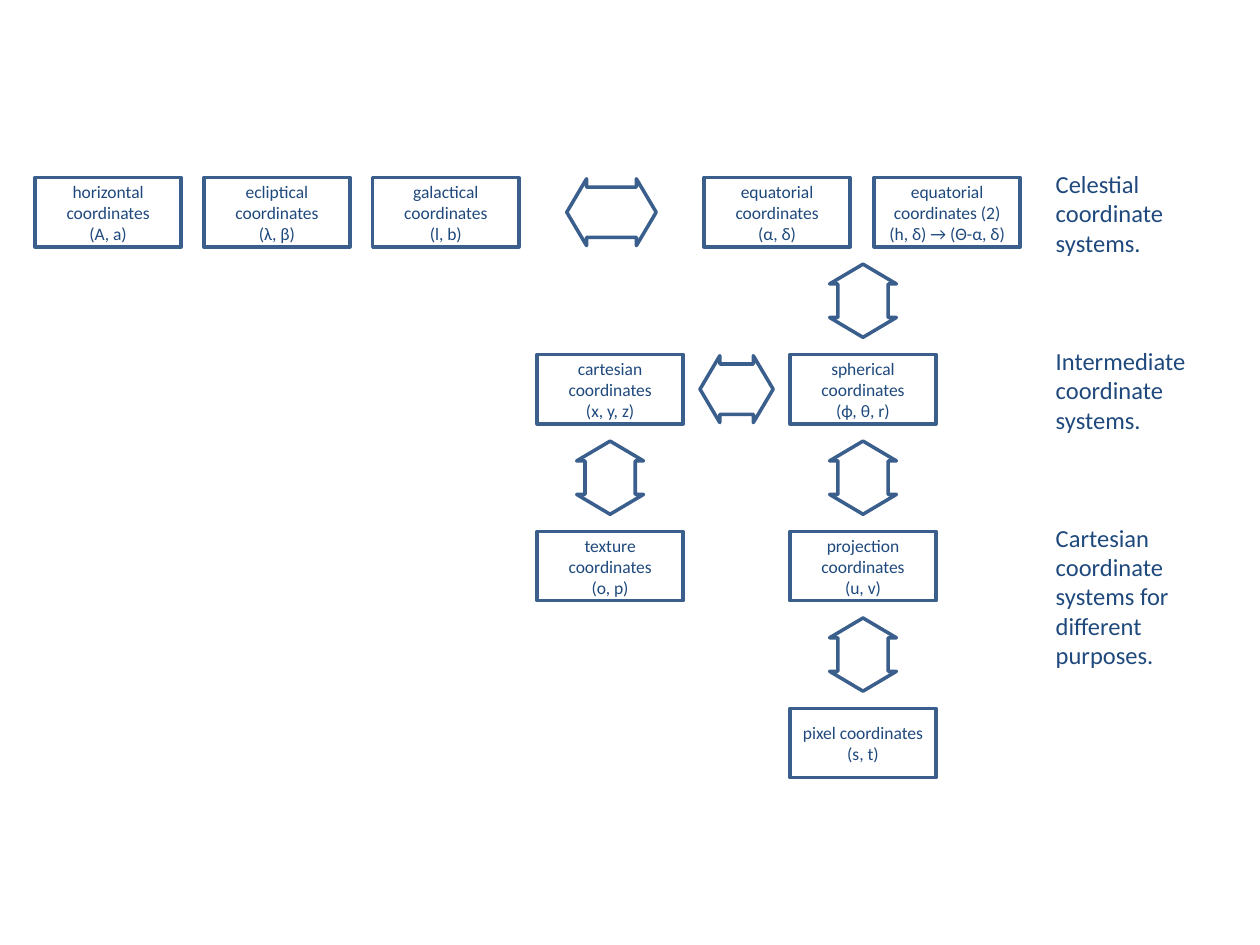
import pptx
import pptx.util
from dataclasses import dataclass
from pptx.dml.color import RGBColor
from pptx.enum.shapes import MSO_SHAPE
from pptx.enum.text import MSO_ANCHOR, MSO_AUTO_SIZE, PP_ALIGN

Pt = pptx.util.Pt


@dataclass(frozen=True)
class Theme:
    font: str = "Calibri"
    text: RGBColor = RGBColor(0x1F, 0x49, 0x7D)
    outline: RGBColor = RGBColor(0x3A, 0x5F, 0x8C)
    outline_width: float = 2
    system_size: float = 10
    level_size: float = 14


THEME = Theme()

# Grid of the diagram, in points
ROW_TOP, ROW_PITCH = 101.5, 101.1
BOX_W, BOX_H = 83.5, 39.6
ARROW_H, ARROW_SHORT, ARROW_LONG = 38.2, 41.8, 51.1
LABEL_LEFT, LABEL_W, LABEL_RISE = 596.2, 103.7, 8.6

# name: (left, row, title, symbols)
SYSTEMS = {
    "horizontal": (20, 0, "horizontal coordinates", "(A, a)"),
    "ecliptical": (116.5, 0, "ecliptical coordinates", "(λ, β)"),
    "galactical": (213, 0, "galactical coordinates", "(l, b)"),
    "equatorial": (402.3, 0, "equatorial coordinates", "(α, δ)"),
    "equatorial 2": (499.5, 0, "equatorial coordinates (2)", "(h, δ) → (Θ-α, δ)"),
    "cartesian": (306.9, 1, "cartesian coordinates", "(x, y, z)"),
    "spherical": (451.4, 1, "spherical coordinates", "(ϕ, θ, r)"),
    "texture": (306.9, 2, "texture coordinates", "(o, p)"),
    "projection": (451.4, 2, "projection coordinates", "(u, v)"),
    "pixel": (451.4, 3, "pixel coordinates", "(s, t)"),
}
SIDEWAYS = [("galactical", "equatorial", ARROW_LONG),
            ("cartesian", "spherical", ARROW_SHORT)]
DOWNWARD = ["spherical", "projection", "texture", "pixel"]  # lower end of each
LEVELS = [("Celestial coordinate systems.", 58.3),
          ("Intermediate coordinate systems.", 58.3),
          ("Cartesian coordinate systems for different purposes.", 92.2)]


def row_top(row):
    return ROW_TOP + row * ROW_PITCH


def style_text(paragraph, size):
    paragraph.font.name = THEME.font
    paragraph.font.size = Pt(size)
    paragraph.font.color.rgb = THEME.text


def add_outlined(slide, preset, left, top, width, height):
    shape = slide.shapes.add_shape(preset, Pt(left), Pt(top), Pt(width), Pt(height))
    shape.shadow.inherit = False
    shape.fill.background()
    shape.line.color.rgb = THEME.outline
    shape.line.width = Pt(THEME.outline_width)
    return shape


def add_system(slide, left, top, title, symbols):
    system = add_outlined(slide, MSO_SHAPE.RECTANGLE, left, top, BOX_W, BOX_H)
    frame = system.text_frame
    frame.word_wrap = True
    frame.vertical_anchor = MSO_ANCHOR.MIDDLE
    frame.text = f"{title}\n{symbols}"
    for paragraph in frame.paragraphs:
        paragraph.alignment = PP_ALIGN.CENTER
        style_text(paragraph, THEME.system_size)


def add_conversion(slide, center_x, center_y, length, rotation=0):
    arrow = add_outlined(slide, MSO_SHAPE.LEFT_RIGHT_ARROW, center_x - length / 2,
                         center_y - ARROW_H / 2, length, ARROW_H)
    arrow.adjustments[0] = 0.752
    arrow.adjustments[1] = 0.296
    arrow.rotation = rotation


def add_level(slide, top, height, caption):
    level = slide.shapes.add_textbox(Pt(LABEL_LEFT), Pt(top), Pt(LABEL_W), Pt(height))
    frame = level.text_frame
    frame.word_wrap = True
    frame.auto_size = MSO_AUTO_SIZE.SHAPE_TO_FIT_TEXT
    frame.text = caption
    style_text(frame.paragraphs[0], THEME.level_size)


def build_diagram(slide):
    # Coordinate systems
    for left, row, title, symbols in SYSTEMS.values():
        add_system(slide, left, row_top(row), title, symbols)

    # Conversions within a row, centred in the gap between two boxes
    for source, target, length in SIDEWAYS:
        left, row = SYSTEMS[source][:2]
        middle = (left + BOX_W + SYSTEMS[target][0]) / 2
        add_conversion(slide, middle, row_top(row) + BOX_H / 2, length)

    # Conversions between rows, centred in the gap above the lower box
    for lower in DOWNWARD:
        left, row = SYSTEMS[lower][:2]
        middle = (row_top(row - 1) + BOX_H + row_top(row)) / 2
        add_conversion(slide, left + BOX_W / 2, middle, ARROW_SHORT, rotation=90)

    # Level captions
    for row, (caption, height) in enumerate(LEVELS):
        add_level(slide, row_top(row) - LABEL_RISE, height, caption)


def main():
    deck = pptx.Presentation()
    deck.slide_width, deck.slide_height = Pt(720), Pt(540)
    build_diagram(deck.slides.add_slide(deck.slide_layouts[6]))
    deck.save("out.pptx")


if __name__ == "__main__":
    main()
